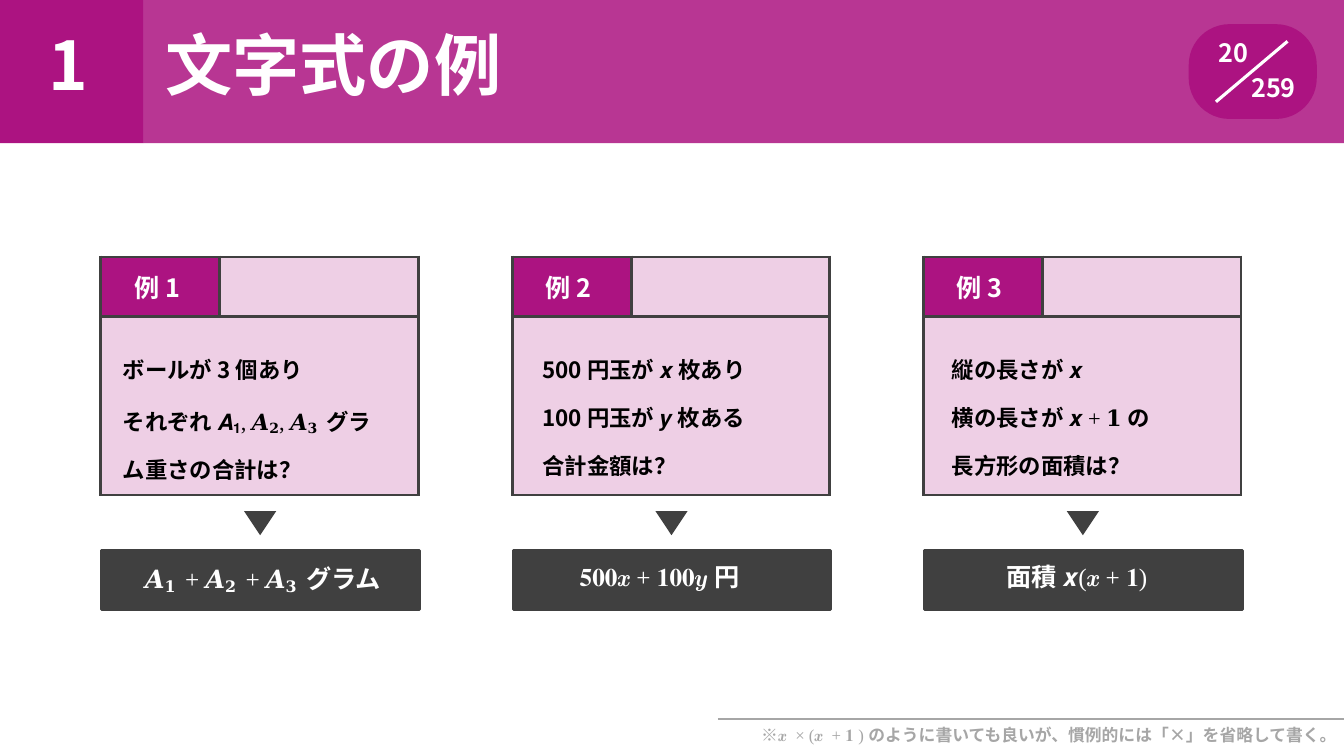
from lxml.etree import SubElement
from pptx import Presentation
from pptx.dml.color import RGBColor
from pptx.enum.shapes import MSO_CONNECTOR, MSO_SHAPE
from pptx.enum.text import MSO_ANCHOR, PP_ALIGN
from pptx.oxml.ns import qn
from pptx.util import Inches, Pt

PINK = RGBColor(0xAC, 0x13, 0x81)
DARK = RGBColor(0x40, 0x40, 0x40)
GREY = RGBColor(0xA6, 0xA6, 0xA6)
WHITE = RGBColor(0xFF, 0xFF, 0xFF)
BLACK = RGBColor(0, 0, 0)
SANS = "Noto Sans CJK JP"
SERIF = "Times New Roman"

WIDE, HIGH = 13.33, 7.5
HEAD = 1.42
LEFT, STEP, CARD = 1, 4.08, 3.15
TOP = 2.55
ROWS = (0.59, 1.77)
COLS = (1.18, 1.97)

CASES = [
    (["ボールが 3 個あり",
      "それぞれ |$𝑨|_𝟏|$, |$𝑨|_𝟐|$, |$𝑨|_𝟑 |グラム重さの合計は？"],
     0.22, 0.28, "$𝑨|_𝟏 |$+ 𝑨|_𝟐 |$+ 𝑨|_𝟑 |グラム", 0.43),
    (["500 円玉が |$𝒙 |枚あり",
      "100 円玉が |$𝒚 |枚ある合計金額は？"],
     0.3, 0.66, "$𝟓𝟎𝟎𝒙| + |$𝟏𝟎𝟎𝒚 |円".replace("| + |", "|$ + |"), 0.66),
    (["縦の長さが |$𝒙",
      "横の長さが |$𝒙|$ + |$𝟏 |の長方形の面積は？"],
     0.28, 0.88, "面積 |$𝒙(𝒙 + |$𝟏)", 0.81),
]


def write(para, text, size, tint):
    font = para.font
    font.name, font.size, font.bold = SANS, Pt(size), True
    font.color.rgb = tint
    base = para._p.get_or_add_pPr().find(qn("a:defRPr"))
    SubElement(base, qn("a:ea")).set("typeface", SANS)
    for part in text.split("|"):
        run = para.add_run()
        run.text = part.lstrip("$_")
        if part[0] in "$_":
            run.font.name, run.font.bold = SERIF, False
        if part[0] == "_":
            run.font.size = Pt(size * 1.08)
            props = run._r.get_or_add_rPr()
            props.set("baseline", "-14000")
            if part[-1] == " ":
                props.set("spc", "200")


def inset(frame, left=0, top=0, right=0):
    frame.margin_left, frame.margin_top = Inches(left), Inches(top)
    frame.margin_right, frame.margin_bottom = Inches(right), 0


def label(slide, box, text, size, tint):
    frame = slide.shapes.add_textbox(*map(Inches, box)).text_frame
    frame.word_wrap = True
    inset(frame)
    write(frame.paragraphs[0], text, size, tint)


def paint(fill, tint, share=100):
    fill.solid()
    fill.fore_color.rgb = tint
    if share < 100:
        mark = fill._xPr.find(qn("a:solidFill"))[0]
        SubElement(mark, qn("a:alpha")).set("val", str(share * 1000))


def block(slide, kind, box, tint, share=100):
    shape = slide.shapes.add_shape(kind, *map(Inches, box))
    shape.shadow.inherit = False
    paint(shape.fill, tint, share)
    shape.line.fill.background()
    return shape


def rule(slide, ends, tint, width):
    line = slide.shapes.add_connector(MSO_CONNECTOR.STRAIGHT, *map(Inches, ends))
    line.line.color.rgb = tint
    line.line.width = Pt(width)
    SubElement(line._element.spPr, qn("a:effectLst"))


def edge(cell):
    props = cell._tc.get_or_add_tcPr()
    for side in ("lnL", "lnR", "lnT", "lnB"):
        line = SubElement(props, qn("a:" + side), w=str(Pt(2.25)))
        fill = SubElement(line, qn("a:solidFill"))
        SubElement(fill, qn("a:srgbClr"), val=str(DARK))


def header(slide, wide, high):
    block(slide, MSO_SHAPE.RECTANGLE, (0, 0, high, high), PINK)
    block(slide, MSO_SHAPE.RECTANGLE, (high, 0, wide - high, high), PINK, 85)
    title = slide.shapes.title
    title._element.getparent().append(title._element)
    title.left, title.top = Inches(0.48), Inches(0.23)
    title.width, title.height = Inches(0.69), Inches(0.83)
    frame = title.text_frame
    inset(frame)
    frame.vertical_anchor = MSO_ANCHOR.TOP
    para = frame.paragraphs[0]
    para.alignment = PP_ALIGN.LEFT
    write(para, "1", 48, WHITE)
    label(slide, (high + 0.22, 0.23, 4, 0.83), "文字式の例", 48, WHITE)


def badge(slide, left, top):
    pill = block(slide, MSO_SHAPE.ROUNDED_RECTANGLE, (left, top, 1.27, 0.94), PINK)
    pill.adjustments[0] = 0.43
    rule(slide, (left + 0.27, top + 0.77, left + 0.98, top + 0.17), WHITE, 2.25)
    label(slide, (left + 0.3, top + 0.13, 0.5, 0.36), "20", 18, WHITE)
    label(slide, (left + 0.62, top + 0.48, 0.6, 0.36), "259", 18, WHITE)


def card(slide, left, top, number, case):
    lines, indent, right, answer, start = case
    box = map(Inches, (left, top, CARD, sum(ROWS)))
    table = slide.shapes.add_table(2, 2, *box).table
    for col, size in zip(table.columns, COLS):
        col.width = Inches(size)
    for row, size in zip(table.rows, ROWS):
        row.height = Inches(size)
    tag, body = table.cell(0, 0), table.cell(1, 0)
    for spot, cell in enumerate(table.iter_cells()):
        edge(cell)
        paint(cell.fill, PINK, 20 if spot else 100)
    tag.vertical_anchor = MSO_ANCHOR.MIDDLE
    inset(tag, 0.33)
    write(tag.text_frame.paragraphs[0], f"例 {number}", 18, WHITE)
    body.merge(table.cell(1, 1))
    inset(body, indent, 0.36, right)
    first = body.text_frame.paragraphs[0]
    second = body.text_frame.add_paragraph()
    second.line_spacing = 1.48
    for para, text in zip((first, second), lines):
        write(para, text, 16, BLACK)

    block(slide, MSO_SHAPE.FLOWCHART_MERGE,
          (left + 1.42, top + 2.52, 0.32, 0.24), DARK)
    bar = block(slide, MSO_SHAPE.RECTANGLE,
                (left + 0.01, top + 2.91, CARD, 0.59), DARK)
    bar.line.color.rgb = DARK
    bar.line.width = Pt(2.25)
    frame = bar.text_frame
    frame.word_wrap = True
    frame.vertical_anchor = MSO_ANCHOR.TOP
    inset(frame, start, 0.11)
    para = frame.paragraphs[0]
    para.alignment = PP_ALIGN.LEFT
    write(para, answer, 18, WHITE)


def footer(slide, left, top, wide):
    rule(slide, (left, top, wide, top), GREY, 1.5)
    label(slide, (left + 0.43, top + 0.06, 5.78, 0.23),
          "※|$𝒙|$ × (|$𝒙|$ + |$𝟏|$) |のように書いても良いが、慣例的には「×」を省略して書く。",
          12, GREY)


def main():
    deck = Presentation()
    deck.slide_width, deck.slide_height = Inches(WIDE), Inches(HIGH)
    slide = deck.slides.add_slide(deck.slide_layouts[5])
    header(slide, WIDE, HEAD)
    badge(slide, 11.79, 0.24)
    for spot, case in enumerate(CASES):
        card(slide, LEFT + STEP * spot, TOP, spot + 1, case)
    footer(slide, 7.12, 7.13, WIDE)
    deck.save("out.pptx")


if __name__ == "__main__":
    main()
